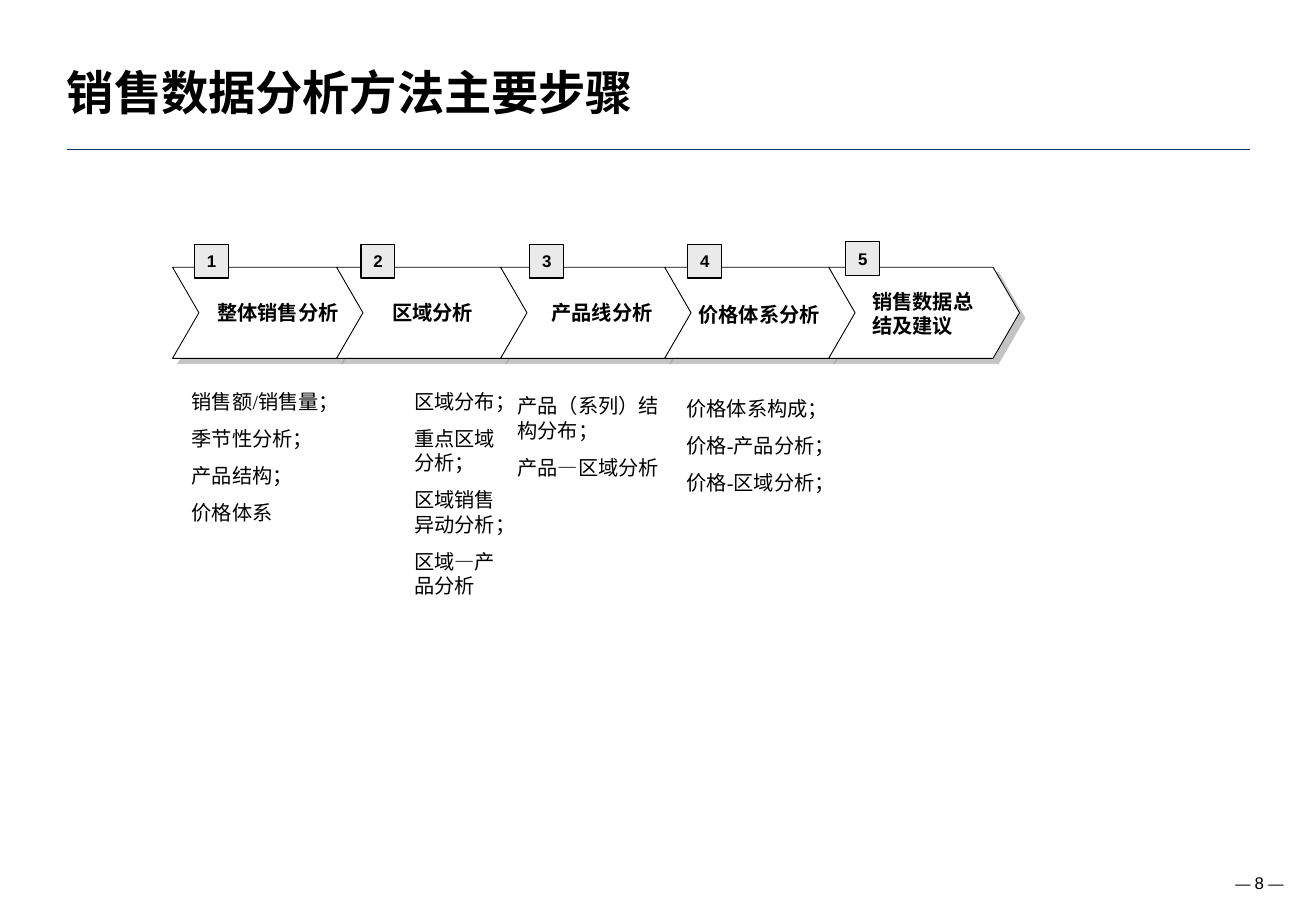
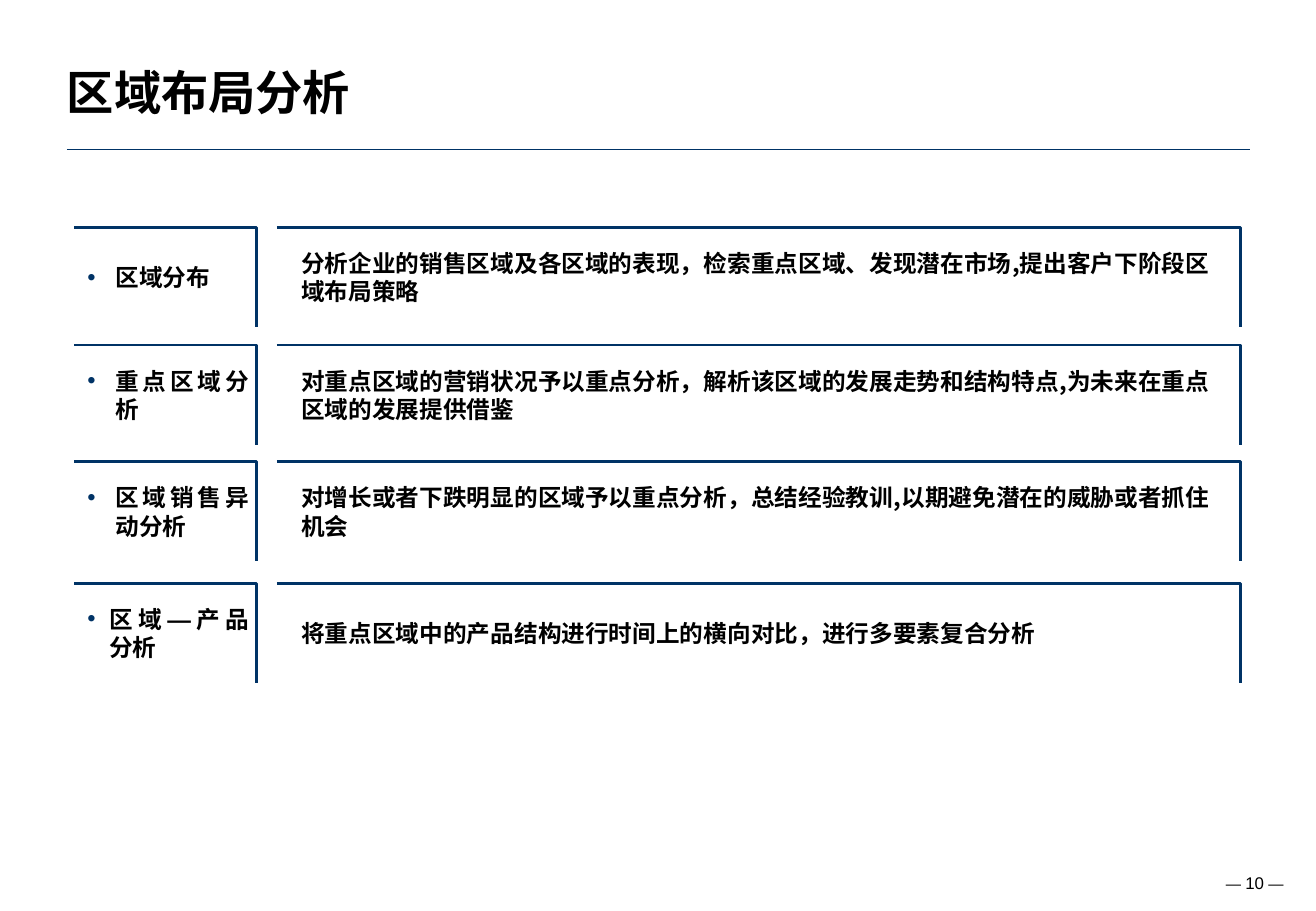
from dataclasses import dataclass

from lxml.etree import SubElement
from pptx import Presentation
from pptx.dml.color import RGBColor
from pptx.enum.shapes import MSO_CONNECTOR, MSO_SHAPE
from pptx.enum.text import MSO_ANCHOR, PP_ALIGN
from pptx.oxml.ns import qn
from pptx.util import Inches, Pt

NAVY = RGBColor(0x00, 0x33, 0x66)
BLACK = RGBColor(0x00, 0x00, 0x00)
WHITE = RGBColor(0xFF, 0xFF, 0xFF)
BADGE_GRAY = RGBColor(0xEA, 0xEA, 0xEA)
SHADOW_GRAY = RGBColor(0x88, 0x88, 0x88)

SANS = "Noto Sans CJK SC"
SERIF = "Times New Roman"
ARIAL = "Arial"


@dataclass
class Step:
    label: str
    label_box: tuple
    badge_at: tuple
    points: tuple = ()
    points_box: tuple = ()
    indent: float = 0


STEPS = [
    Step("整体销售分析", (1.69, 2.42, 1.26, 0.3), (1.6, 2.01),
         ("销售额/销售量；", "季节性分析；", "产品结构；", "价格体系"),
         (1.48, 3.15, 1.44, 1.22)),
    Step("区域分析", (3.13, 2.42, 1.04, 0.3), (2.97, 2.01),
         ("区域分布；", "重点区域分析；", "区域销售异动分析；", "区域—产品分析"),
         (2.81, 3.15, 1.52, 1.82), 0.5),
    Step("产品线分析", (4.44, 2.42, 1.04, 0.3), (4.36, 2.01),
         ("产品（系列）结构分布；", "产品—区域分析"),
         (4.16, 3.19, 1.45, 0.81)),
    Step("价格体系分析", (5.65, 2.44, 1.27, 0.3), (5.66, 2.01),
         ("价格体系构成；", "价格-产品分析；", "价格-区域分析；"),
         (5.55, 3.21, 1.44, 0.91)),
    Step("销售数据总结及建议", (7.08, 2.33, 1.04, 0.5), (6.96, 1.99)),
]

REGION_ROWS = [
    (1.87, 0.23, ["区域分布"],
     "分析企业的销售区域及各区域的表现，检索重点区域、发现潜在市场,提出客户下阶段区域布局策略"),
    (2.84, 0.23, ["重点区域分析"],
     "对重点区域的营销状况予以重点分析，解析该区域的发展走势和结构特点,为未来在重点区域的发展提供借鉴"),
    (3.8, 0.23, ["区域销售异动分析"],
     "对增长或者下跌明显的区域予以重点分析，总结经验教训,以期避免潜在的威胁或者抓住机会"),
    (4.8, 0.18, ["区域", "—", "产品分析"],
     "将重点区域中的产品结构进行时间上的横向对比，进行多要素复合分析"),
]


def format_span(span, size, font, bold=False):
    span.font.size = Pt(size)
    span.font.bold = bold
    span.font.name = font
    span.font.color.rgb = BLACK
    east_asian = ARIAL if font == ARIAL else SANS
    SubElement(span.font._element, qn("a:ea")).set("typeface", east_asian)


def set_margins(frame, horizontal, vertical):
    frame.margin_left = frame.margin_right = Inches(horizontal)
    frame.margin_top = frame.margin_bottom = Inches(vertical)


def set_indent(para, left, first=0.0):
    properties = para._p.get_or_add_pPr()
    properties.set("marL", str(Inches(left)))
    properties.set("indent", str(Inches(first)))
    return properties


def add_bullet(para, indent):
    properties = set_indent(para, indent, -indent)
    color = SubElement(properties, qn("a:buClr"))
    SubElement(color, qn("a:srgbClr")).set("val", str(NAVY))
    SubElement(properties, qn("a:buFont")).set("typeface", ARIAL)
    SubElement(properties, qn("a:buChar")).set("char", "•")


def add_text(page, box, anchor=MSO_ANCHOR.TOP, margins=(0.1, 0.05)):
    frame = page.shapes.add_textbox(*map(Inches, box)).text_frame
    frame.word_wrap = True
    frame.vertical_anchor = anchor
    set_margins(frame, *margins)
    return frame


def add_paragraphs(frame, texts, size, font, pitch, bold=False, indent=0):
    frame.text = "\n".join(texts)
    for index, para in enumerate(frame.paragraphs):
        para.line_spacing = Pt(pitch)
        para.space_before = Pt(7.5 if index else 0)
        if indent:
            set_indent(para, indent)
        for span in para.runs:
            format_span(span, size, font, bold)


def add_page(deck, title, number):
    page = deck.slides.add_slide(deck.slide_layouts[5])
    add_title(page.shapes.title, title, (0.55, 0.34, 8.64, 0.65))
    add_rule(page, 0.55, 10.29, 1.23)
    add_page_number(page, number, (9.77, 7.06, 0.89, 0.42))
    return page


def add_title(holder, title, box):
    holder.left, holder.top, holder.width, holder.height = map(Inches, box)
    frame = holder.text_frame
    frame.text = title
    frame.vertical_anchor = MSO_ANCHOR.BOTTOM
    set_margins(frame, 0, 0)
    para = frame.paragraphs[0]
    para.alignment = PP_ALIGN.LEFT
    format_span(para.runs[0], 28, SANS, True)


def add_rule(page, left, right, top):
    rule = page.shapes.add_connector(
        MSO_CONNECTOR.STRAIGHT, Inches(left), Inches(top), Inches(right), Inches(top))
    rule.line.color.rgb = NAVY
    rule.line.width = Pt(1)
    SubElement(rule._element.spPr, qn("a:effectLst"))


def add_page_number(page, number, box):
    para = add_text(page, box, MSO_ANCHOR.MIDDLE).paragraphs[0]
    para.alignment = PP_ALIGN.RIGHT
    for text, size in (("— ", 9), (str(number), 10), (" —", 9)):
        span = para.add_run()
        span.text = text
        format_span(span, size, ARIAL)


def add_filled_shape(page, kind, box, fill, line_width):
    shape = page.shapes.add_shape(kind, *map(Inches, box))
    shape.shadow.inherit = False
    shape.fill.solid()
    shape.fill.fore_color.rgb = fill
    shape.line.color.rgb = BLACK
    shape.line.width = Pt(line_width)
    return shape


def add_chevron(page, box):
    chevron = add_filled_shape(page, MSO_SHAPE.CHEVRON, box, WHITE, 0.5)
    chevron.adjustments[0] = 0.29
    effects = chevron._element.spPr.find(qn("a:effectLst"))
    shadow = SubElement(effects, qn("a:outerShdw"), dist=str(Pt(4.5)),
                        dir="2700000", algn="ctr", rotWithShape="0")
    color = SubElement(shadow, qn("a:srgbClr"), val=str(SHADOW_GRAY))
    SubElement(color, qn("a:alpha"), val="50000")


def add_badge(page, number, left, top):
    badge = add_filled_shape(
        page, MSO_SHAPE.RECTANGLE, (left, top, 0.28, 0.28), BADGE_GRAY, 0.75)
    frame = badge.text_frame
    frame.word_wrap = False
    frame.vertical_anchor = MSO_ANCHOR.MIDDLE
    set_margins(frame, 0.1, 0.05)
    frame.text = str(number)
    para = frame.paragraphs[0]
    para.alignment = PP_ALIGN.CENTER
    format_span(para.runs[0], 10, ARIAL, True)


def add_process(page, left, top):
    for index in range(len(STEPS)):
        add_chevron(page, (left + 1.35 * index, top, 1.57, 0.75))
    for number, step in enumerate(STEPS, 1):
        add_paragraphs(add_text(page, step.label_box), [step.label],
                       12, SERIF, 14.5, True)
        add_badge(page, number, *step.badge_at)
        if step.points:
            add_paragraphs(add_text(page, step.points_box), step.points,
                           12, SERIF, 14.5, indent=step.indent)


def add_bracket(page, left, top, width, height):
    right = Inches(left + width)
    builder = page.shapes.build_freeform(Inches(left), Inches(top))
    builder.add_line_segments(
        [(right, Inches(top)), (right, Inches(top + height))], close=False)
    bracket = builder.convert_to_shape()
    bracket.shadow.inherit = False
    bracket.fill.background()
    bracket.line.color.rgb = NAVY
    bracket.line.width = Pt(1.75)


def add_region_row(page, left, top, indent, topic, description):
    height = 0.82
    add_bracket(page, left, top, 1.5, height)
    add_bracket(page, left + 1.67, top, 7.93, height)

    frame = add_text(page, (left + 0.11, top, 1.33, height), MSO_ANCHOR.MIDDLE, (0, 0))
    para = frame.paragraphs[0]
    para.alignment = PP_ALIGN.JUSTIFY
    para.line_spacing = Pt(17)
    add_bullet(para, indent)
    for text in topic:
        span = para.add_run()
        span.text = text
        format_span(span, 14, ARIAL if text == "—" else SANS, True)

    frame = add_text(page, (left + 1.87, top, 7.64, height), MSO_ANCHOR.MIDDLE, (0, 0))
    add_paragraphs(frame, [description], 14, SANS, 17, True)


def main():
    deck = Presentation()
    deck.slide_width, deck.slide_height = Inches(10.83), Inches(7.5)

    add_process(add_page(deck, "销售数据分析方法主要步骤", 8), 1.42, 2.2)

    regions = add_page(deck, "区域布局分析", 10)
    for top, indent, topic, description in REGION_ROWS:
        add_region_row(regions, 0.61, top, indent, topic, description)

    deck.save("out.pptx")


if __name__ == "__main__":
    main()
